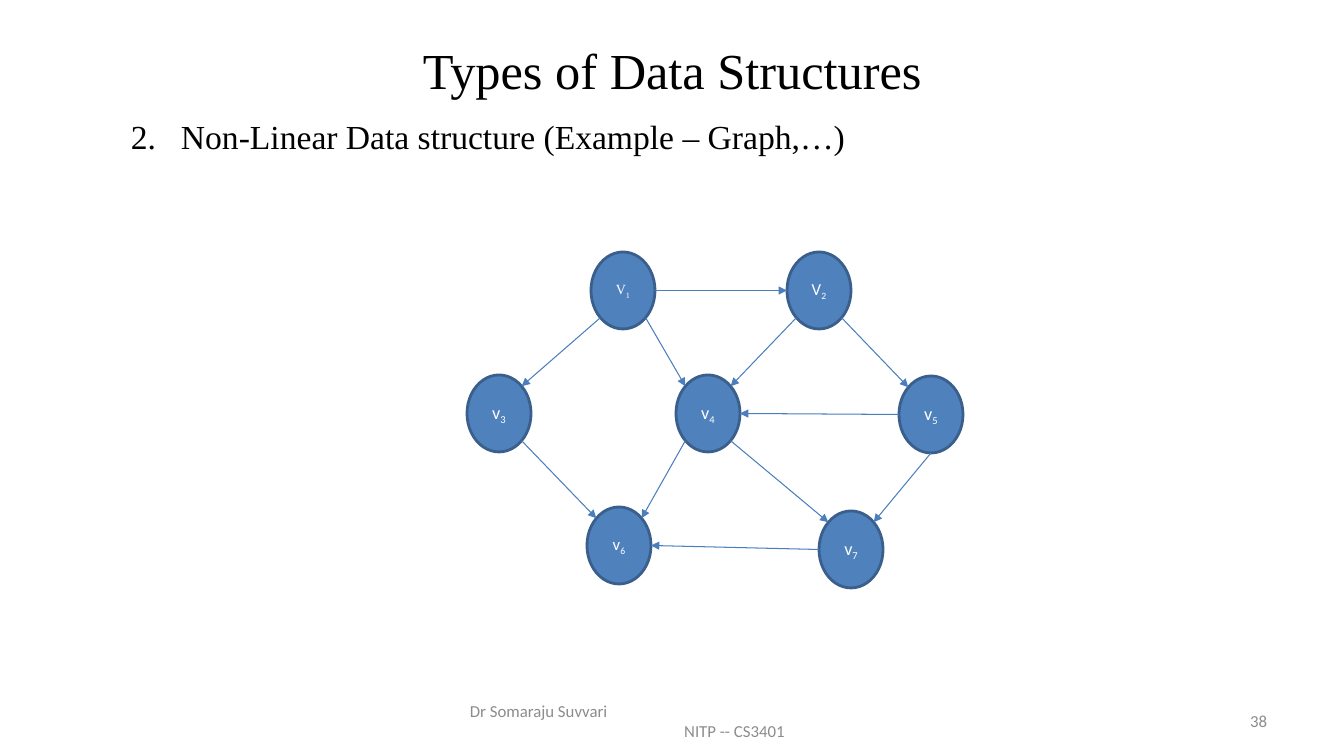
import math
import pptx
import pptx.util
import pptx.dml.color
import pptx.enum.shapes
import pptx.enum.text
import pptx.oxml.ns
import lxml.etree

RGB = pptx.dml.color.RGBColor
BLACK = RGB(0x00, 0x00, 0x00)
WHITE = RGB(0xFF, 0xFF, 0xFF)
GRAY = RGB(0x8C, 0x8C, 0x8C)
BLUE = RGB(0x4F, 0x81, 0xBD)
NAVY = RGB(0x3A, 0x5F, 0x8C)
EDGE = RGB(0x4B, 0x7E, 0xBC)
SERIF, SANS = "Times New Roman", "Calibri"
ALIGN = pptx.enum.text.PP_ALIGN
MIDDLE = pptx.enum.text.MSO_ANCHOR.MIDDLE
TOP = pptx.enum.text.MSO_ANCHOR.TOP
Pt = pptx.util.Pt
qn = pptx.oxml.ns.qn


def px(n):
    return round(n * 914400 / 100.8)


def write(par, text, size=12, font=SANS, color=GRAY, align=ALIGN.CENTER, base=0):
    par.alignment = align
    run = par.add_run()
    run.text = text
    run.font.size = Pt(size)
    run.font.name = font
    run.font.color.rgb = color
    if base:
        run._r.get_or_add_rPr().set("baseline", str(base * 1000))


deck = pptx.Presentation()
deck.slide_width, deck.slide_height = px(1344), px(756)
slide = deck.slides.add_slide(deck.slide_layouts[5])

title = slide.shapes.title
title.left, title.top, title.width, title.height = px(219), px(30), px(907), px(79)
title.text_frame.vertical_anchor = MIDDLE
write(title.text_frame.paragraphs[0], "Types of Data Structures", size=36, font=SERIF, color=BLACK)

frames = []
for left, top, width, height, anchor in [
    (76, 111, 1159, 565, TOP),
    (460, 701, 425, 40, MIDDLE),
    (964, 701, 313, 40, MIDDLE),
]:
    frame = slide.shapes.add_textbox(px(left), px(top), px(width), px(height)).text_frame
    frame.word_wrap = True
    frame.vertical_anchor = anchor
    frames.append(frame)
body, foot, page = frames

item = body.paragraphs[0]
write(item, "Non-Linear Data structure (Example – Graph,…)",
      size=24, font=SERIF, color=BLACK, align=ALIGN.JUSTIFY)
props = item._p.get_or_add_pPr()
props.set("marL", str(px(95)))
props.set("indent", str(px(-50)))
face = lxml.etree.SubElement(props, qn("a:buFont"))
face.set("typeface", SERIF)
count = lxml.etree.SubElement(props, qn("a:buAutoNum"))
count.set("type", "arabicPeriod")
count.set("startAt", "2")

write(foot.paragraphs[0], "Dr Somaraju Suvvari", align=ALIGN.LEFT)
course = foot.add_paragraph()
write(course, "NITP -- CS3401")
course._p.get_or_add_pPr().set("marL", str(px(124)))
write(page.paragraphs[0], "38", align=ALIGN.RIGHT)

WIDE, HIGH = 64, 77
nodes = {
    1: (591, 252, "V", 10, SERIF),
    2: (787, 252, "V", 12, SANS),
    3: (467, 375, "v", 13, SANS),
    4: (676, 375, "v", 13, SANS),
    5: (899, 376, "v", 13, SANS),
    6: (587, 507, "v", 12, SANS),
    7: (819, 511, "v", 13, SANS),
}
graph = slide.shapes.add_group_shape().shapes
for key, (left, top, name, size, font) in nodes.items():
    node = graph.add_shape(pptx.enum.shapes.MSO_SHAPE.OVAL, px(left), px(top), px(WIDE), px(HIGH))
    node.shadow.inherit = False
    node.fill.solid()
    node.fill.fore_color.rgb = BLUE
    node.line.color.rgb = NAVY
    node.line.width = Pt(2)
    frame = node.text_frame
    frame.margin_left = frame.margin_right = 0
    frame.vertical_anchor = MIDDLE
    for text, base in [(name, 0), (str(key), -25)]:
        write(frame.paragraphs[0], text, size=size, font=font, color=WHITE, base=base)

angles = {"E": 0, "SE": 45, "S": 90, "SW": 135, "W": 180, "NW": 225, "NE": 315}
edges = [
    (1, "E", 2, "W"), (1, "SE", 4, "NW"), (1, "SW", 3, "NE"),
    (2, "SW", 4, "NE"), (2, "SE", 5, "NW"), (3, "SE", 6, "NW"),
    (4, "SW", 6, "NE"), (4, "SE", 7, "NW"), (5, "W", 4, "E"),
    (5, "S", 7, "NE"), (7, "W", 6, "E"),
]
for start, exit, end, entry in edges:
    spots = []
    for key, side in [(start, exit), (end, entry)]:
        turn = math.radians(angles[side])
        spots.append(px(nodes[key][0] + WIDE / 2 * (1 + math.cos(turn))))
        spots.append(px(nodes[key][1] + HIGH / 2 * (1 + math.sin(turn))))
    edge = graph.add_connector(pptx.enum.shapes.MSO_CONNECTOR.STRAIGHT, *spots)
    edge.line.color.rgb = EDGE
    edge.line.width = Pt(0.75)
    tail = lxml.etree.SubElement(edge.line._get_or_add_ln(), qn("a:tailEnd"))
    tail.set("type", "triangle")
    lxml.etree.SubElement(edge._element.spPr, qn("a:effectLst"))

deck.save("out.pptx")
